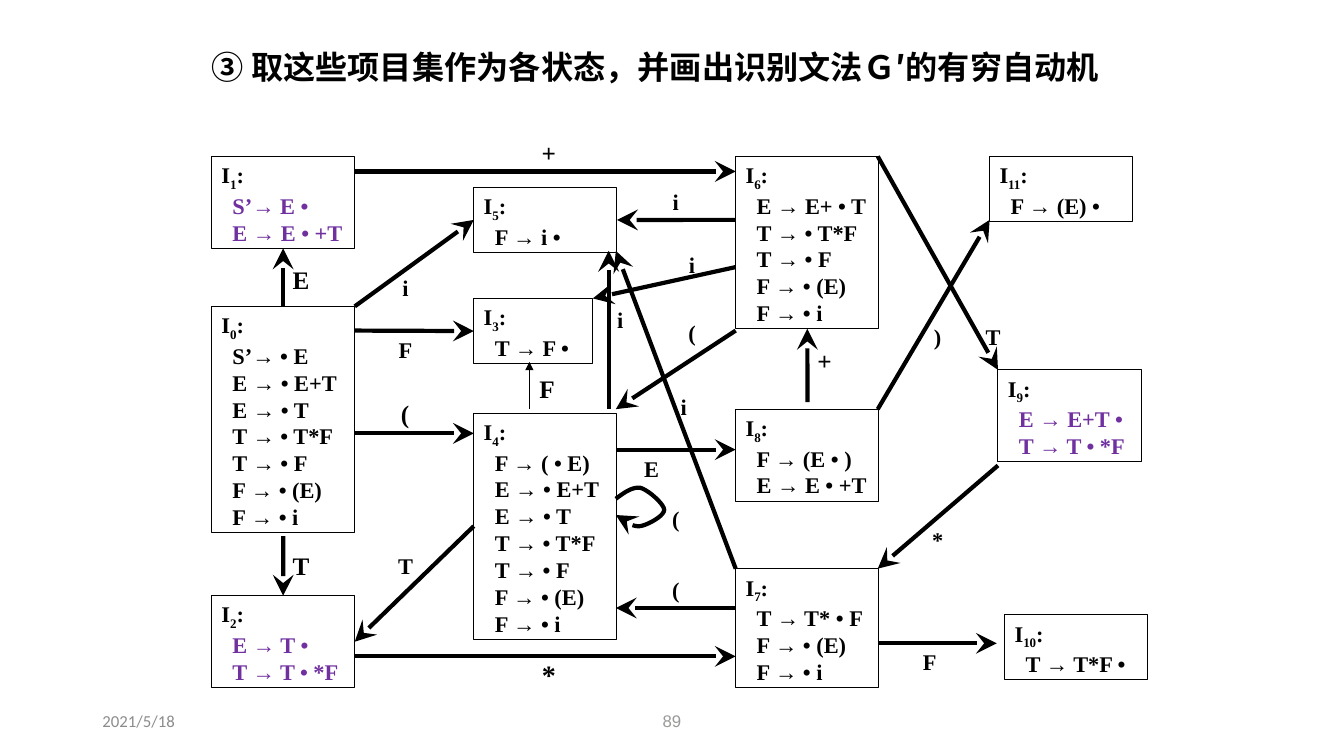
from dataclasses import dataclass
from typing import Optional

from pptx import Presentation
from pptx.dml.color import RGBColor
from pptx.enum.shapes import MSO_CONNECTOR, MSO_SHAPE
from pptx.enum.text import MSO_ANCHOR, MSO_AUTO_SIZE, PP_ALIGN
from pptx.oxml.ns import qn
from pptx.shapes.autoshape import Shape
from pptx.slide import Slide
from pptx.util import Cm, Pt
from lxml.etree import SubElement


@dataclass(frozen=True)
class Theme:
    ink: str = "000000"
    reduction: str = "7030A0"
    date: str = "8C8C8C"
    number: str = "9B9A98"
    font: str = "Times New Roman"
    title_size: int = 23
    item_size: int = 16
    footer_size: int = 12
    arrow_width: float = 3
    thin_width: float = 0.75


@dataclass(frozen=True)
class State:
    number: int
    left: float
    top: float
    items: tuple[str, ...]
    color: str = Theme.ink
    width: float = 3.61

    @property
    def height(self) -> float:
        return 0.97 + 0.675 * len(self.items)

    def side_middles(self) -> list[tuple[float, float]]:
        """Top, left, bottom and right, in connection-site order."""
        middle_x, middle_y = self.left + self.width / 2, self.top + self.height / 2
        return [(middle_x, self.top), (self.left, middle_y),
                (middle_x, self.top + self.height), (self.left + self.width, middle_y)]


@dataclass(frozen=True)
class Symbol:
    text: str
    x: float
    y: float
    size: int = Theme.item_size


@dataclass(frozen=True)
class Transition:
    source: int
    target: int
    start: tuple[float, float]
    end: tuple[float, float]
    symbol: Symbol
    thin: bool = False


THEME = Theme()
COL_1, COL_2, COL_3, COL_4 = 5.33, 11.94, 18.54, 25.15
EDGE_1, EDGE_2, EDGE_3 = 8.94, 15.52, 22.12  # right edges of the columns
JOIN_TOLERANCE = 0.09

F_ITEMS = ("F → • (E)", "F → • i")
T_ITEMS = ("T → • T*F", "T → • F") + F_ITEMS
E_ITEMS = ("E → • E+T", "E → • T") + T_ITEMS

STATES = [
    State(0, COL_1, 7.72, ("S’→ • E",) + E_ITEMS),
    State(1, COL_1, 3.94, ("S’→ E •", "E → E • +T"), THEME.reduction),
    State(2, COL_1, 15.01, ("E → T •", "T → T • *F"), THEME.reduction),
    State(3, COL_2, 7.52, ("T → F •",), width=3),
    State(4, COL_2, 10.41, ("F → ( • E)",) + E_ITEMS),
    State(5, COL_2, 4.72, ("F → i •",)),
    State(6, COL_3, 3.94, ("E → E+ • T",) + T_ITEMS),
    State(7, COL_3, 14.33, ("T → T* • F",) + F_ITEMS),
    State(8, COL_3, 10.31, ("F → (E • )", "E → E • +T")),
    State(9, COL_4, 9.32, ("E → E+T •", "T → T • *F"), THEME.reduction),
    State(10, 25.32, 15.49, ("T → T*F •",)),
    State(11, 24.94, 3.94, ("F → (E) •",)),
]

TRANSITIONS = [
    Transition(0, 1, (7.14, 7.72), (7.14, 6.32), Symbol("E", 7.59, 7.04, 18)),
    Transition(0, 2, (7.14, 13.51), (7.14, 14.94), Symbol("T", 7.59, 14.25, 18)),
    Transition(0, 4, (EDGE_1, 10.92), (COL_2, 10.92), Symbol("(", 10.21, 10.41, 18)),
    Transition(0, 5, (EDGE_1, 7.72), (COL_2, 5.54), Symbol("i", 10.22, 7.25)),
    Transition(0, 3, (EDGE_1, 8.33), (COL_2, 8.33), Symbol("F", 10.22, 8.8)),
    Transition(1, 6, (EDGE_1, 4.32), (COL_3, 4.32), Symbol("+", 13.83, 3.84, 18)),
    Transition(6, 5, (COL_3, 5.54), (EDGE_2, 5.54), Symbol("i", 17.03, 5.07)),
    Transition(4, 2, (COL_2, 13.34), (EDGE_1, 16.13), Symbol("T", 10.22, 14.26)),
    Transition(2, 7, (EDGE_1, 16.54), (COL_3, 16.54), Symbol("*", 13.83, 16.98, 20)),
    Transition(4, 5, (15.34, 10.31), (15.34, 6.32), Symbol("i", 15.63, 8.06)),
    Transition(8, 6, (20.35, 10.13), (20.35, 8.33), Symbol("+", 20.78, 9.09, 18)),
    Transition(4, 8, (EDGE_2, 11.33), (COL_3, 11.33), Symbol("E", 16.42, 11.8)),
    Transition(7, 5, (COL_3, 14.33), (EDGE_2, 6.32), Symbol("i", 17.23, 10.25)),
    Transition(7, 4, (COL_3, 15.32), (EDGE_2, 15.32), Symbol("(", 17.03, 14.85)),
    Transition(8, 11, (EDGE_3, 10.31), (24.94, 5.54), Symbol(")", 23.63, 8.47)),
    Transition(9, 7, (COL_4, 11.73), (EDGE_3, 14.33), Symbol("*", 23.63, 13.6)),
    Transition(6, 9, (EDGE_3, 3.94), (COL_4, 9.32), Symbol("T", 25.03, 8.47)),
    Transition(7, 10, (EDGE_3, 16.21), (25.12, 16.21), Symbol("F", 23.43, 16.67)),
    Transition(6, 4, (COL_3, 8.33), (EDGE_2, 10.31), Symbol("(", 17.44, 8.39)),
    Transition(4, 3, (13.34, 10.31), (13.34, 9.12), Symbol("F", 13.79, 9.8, 18), thin=True),
    Transition(6, 3, (COL_3, 6.73), (14.94, 7.52), Symbol("i", 17.44, 6.67)),
]

LOOP_START = (15.52, 12.57)
LOOP_CURVES = [
    ((15.72, 12.42), (15.93, 12.27), (16.13, 12.29)),
    ((16.33, 12.34), (16.74, 12.7), (16.74, 12.85)),
    ((16.74, 13), (16.33, 13.23), (16.13, 13.26)),
    ((15.93, 13.28), (15.72, 13.13), (15.52, 12.98)),
]
LOOP_SYMBOL = Symbol("(", 17.03, 13.07)


def add_run(paragraph, text: str, size: int, color: str = THEME.ink,
            font: str = THEME.font, bold: bool = True):
    run = paragraph.add_run()
    run.text = text
    run.font.name, run.font.size, run.font.bold = font, Pt(size), bold
    run.font.color.rgb = RGBColor.from_string(color)
    return run


def draw_state(slide: Slide, state: State) -> Shape:
    box = slide.shapes.add_shape(MSO_SHAPE.RECTANGLE, Cm(state.left), Cm(state.top),
                                 Cm(state.width), Cm(state.height))
    box.shadow.inherit = False
    box.fill.background()
    box.line.color.rgb = RGBColor.from_string(THEME.ink)
    box.line.width = Pt(THEME.thin_width)
    frame = box.text_frame
    frame.word_wrap, frame.vertical_anchor, frame.margin_right = True, MSO_ANCHOR.TOP, 0
    heading = frame.paragraphs[0]
    heading.alignment = PP_ALIGN.LEFT
    add_run(heading, "I", THEME.item_size)
    subscript = add_run(heading, str(state.number), THEME.item_size)
    subscript.font._element.set("baseline", "-25000")
    add_run(heading, ":", THEME.item_size)
    for item in state.items:
        line = frame.add_paragraph()
        line.alignment = PP_ALIGN.LEFT
        line._p.get_or_add_pPr().set("marL", str(Cm(0.28)))
        add_run(line, item, THEME.item_size, state.color)
    return box


def style_arrow(arrow, thin: bool = False) -> None:
    arrow.line.color.rgb = RGBColor.from_string(THEME.ink)
    arrow.line.width = Pt(THEME.thin_width if thin else THEME.arrow_width)
    kind, size = ("triangle", "med") if thin else ("stealth", "lg")
    SubElement(arrow.line._get_or_add_ln(), qn("a:tailEnd"), type=kind, w=size, len=size)


def joined_side(state: State, point: tuple[float, float]) -> Optional[int]:
    """Side whose middle lies at the point, if there is one."""
    for side, middle in enumerate(state.side_middles()):
        if all(abs(a - b) < JOIN_TOLERANCE for a, b in zip(middle, point)):
            return side
    return None


def draw_text(slide: Slide, left: float, top: float, width: float, height: float,
              align: PP_ALIGN, text: str, size: int, **style) -> None:
    box = slide.shapes.add_textbox(Cm(left), Cm(top), Cm(width), Cm(height))
    box.text_frame.word_wrap = True
    box.text_frame.vertical_anchor = MSO_ANCHOR.MIDDLE
    paragraph = box.text_frame.paragraphs[0]
    paragraph.alignment = align
    add_run(paragraph, text, size, **style)


def draw_symbol(slide: Slide, symbol: Symbol) -> None:
    draw_text(slide, symbol.x - 0.5, symbol.y - 0.5, 1, 1, PP_ALIGN.CENTER, symbol.text, symbol.size)


def draw_transition(slide: Slide, transition: Transition, boxes: list[Shape]) -> None:
    ends = [Cm(value) for value in transition.start + transition.end]
    arrow = slide.shapes.add_connector(MSO_CONNECTOR.STRAIGHT, *ends)
    for number, point, join in ((transition.source, transition.start, arrow.begin_connect),
                                (transition.target, transition.end, arrow.end_connect)):
        side = joined_side(STATES[number], point)
        if side is not None:
            join(boxes[number], side)
    style_arrow(arrow, transition.thin)
    SubElement(arrow._element.spPr, qn("a:effectLst"))
    draw_symbol(slide, transition.symbol)


def draw_loop(slide: Slide, steps: int = 10) -> None:
    points, start = [], LOOP_START
    for first, second, end in LOOP_CURVES:
        for t in (step / steps for step in range(1, steps + 1)):
            weights = ((1 - t) ** 3, 3 * t * (1 - t) ** 2, 3 * t * t * (1 - t), t ** 3)
            points.append(tuple(
                Cm(sum(w * p[axis] for w, p in zip(weights, (start, first, second, end))))
                for axis in (0, 1)))
        start = end
    builder = slide.shapes.build_freeform(Cm(LOOP_START[0]), Cm(LOOP_START[1]))
    builder.add_line_segments(points, close=False)
    loop = builder.convert_to_shape()
    loop.fill.background()
    style_arrow(loop)
    loop.shadow.inherit = False
    draw_symbol(slide, LOOP_SYMBOL)


def draw_title(slide: Slide, text: str) -> None:
    title = slide.shapes.title
    title.left, title.top, title.width, title.height = Cm(5.08), Cm(0.86), Cm(24.03), Cm(2.06)
    title.text_frame.auto_size = MSO_AUTO_SIZE.NONE
    title.text_frame.vertical_anchor = MSO_ANCHOR.TOP
    paragraph = title.text_frame.paragraphs[0]
    paragraph.alignment, paragraph.line_spacing = PP_ALIGN.JUSTIFY, 1.2
    add_run(paragraph, text, THEME.title_size)


def main() -> None:
    deck = Presentation()
    deck.slide_width, deck.slide_height = Cm(33.87), Cm(19.05)
    slide = deck.slides.add_slide(deck.slide_layouts[5])
    draw_title(slide, "③ 取这些项目集作为各状态，并画出识别文法Ｇ′的有穷自动机")
    draw_text(slide, 2.33, 17.66, 7.62, 1.01, PP_ALIGN.LEFT, "2021/5/18", THEME.footer_size,
              color=THEME.date, font="Calibri", bold=False)
    draw_text(slide, 11.22, 17.66, 11.43, 1.01, PP_ALIGN.CENTER, "89", THEME.footer_size,
              color=THEME.number, font="Arial", bold=False)
    boxes = [draw_state(slide, state) for state in STATES]
    for transition in TRANSITIONS:
        draw_transition(slide, transition, boxes)
    draw_loop(slide)
    deck.save("out.pptx")


if __name__ == "__main__":
    main()
